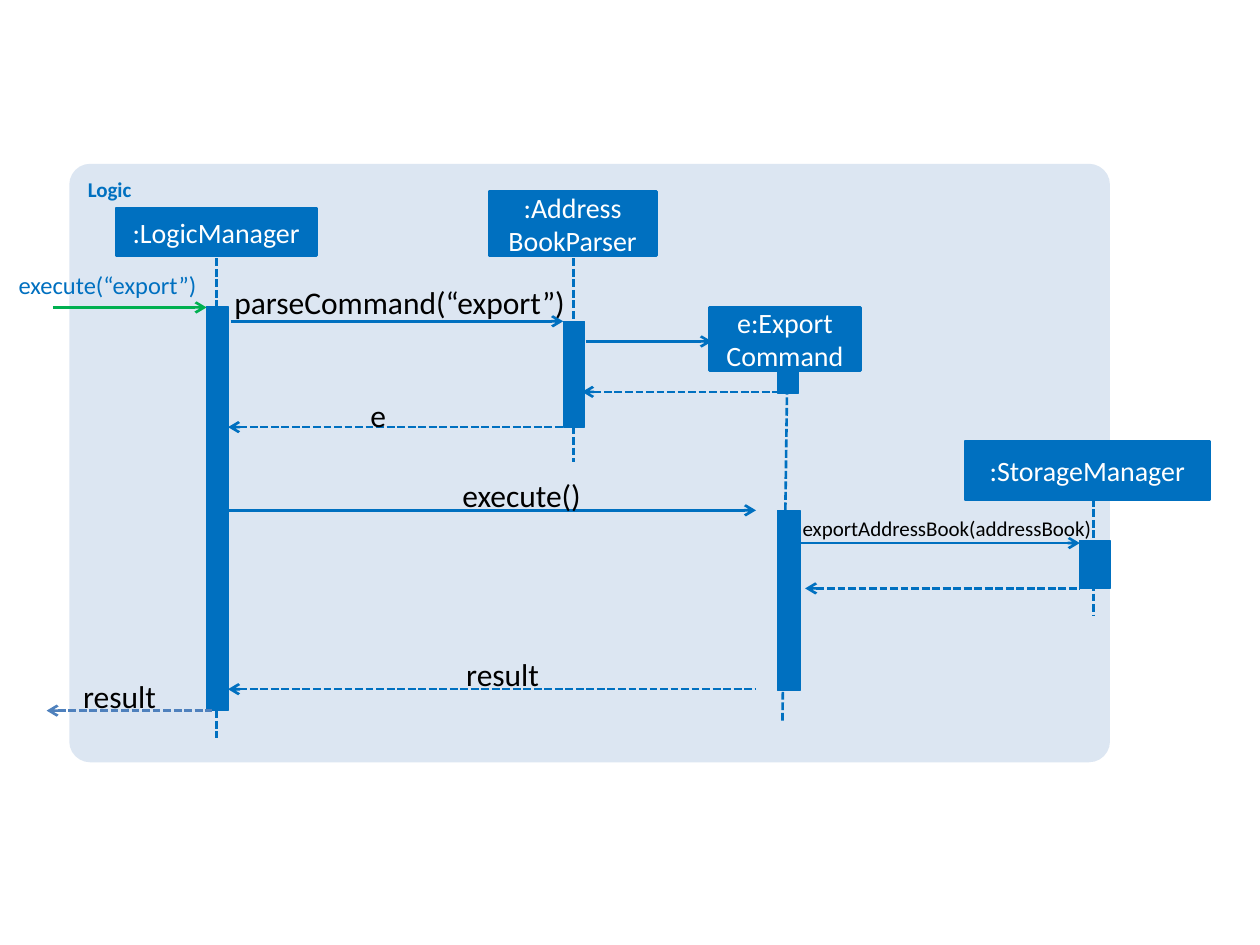
from lxml import etree
from pptx import Presentation
from pptx import util as u
from pptx.dml.color import RGBColor
from pptx.enum import dml, shapes, text
from pptx.oxml.ns import qn

BLUE = RGBColor(0x00, 0x70, 0xC0)
PALE = RGBColor(0xDC, 0xE6, 0xF2)
GREEN = RGBColor(0x00, 0xB0, 0x50)
STEEL = RGBColor(0x4F, 0x81, 0xBD)
WHITE = RGBColor(0xFF, 0xFF, 0xFF)
BLACK = RGBColor(0x00, 0x00, 0x00)

PARTICIPANTS = [
    (":LogicManager", 0.92, 1.65, 1.59, 0.38),
    (":Address\nBookParser", 3.88, 1.52, 1.33, 0.51),
    ("e:Export\vCommand", 5.63, 2.44, 1.2, 0.5),
    (":StorageManager", 7.66, 3.5, 1.94, 0.47),
]
LIFELINES = [
    (1.72, 2.05, 1.72, 5.86),
    (4.55, 2.05, 4.55, 3.67),
    (6.25, 2.82, 6.21, 5.72),
    (8.68, 3.96, 8.68, 4.88),
]
ACTIVATIONS = [
    (1.64, 2.43, 0.17, 3.21),
    (4.47, 2.55, 0.17, 0.84),
    (6.17, 2.82, 0.17, 0.3),
    (6.17, 4.05, 0.18, 1.43),
    (8.57, 4.29, 0.24, 0.38),
]
CALLS = [
    (0.42, 1.64, 2.44, GREEN),
    (1.83, 4.47, 2.55, BLUE),
    (4.65, 5.65, 2.71, BLUE),
    (1.81, 6, 4.05, BLUE),
    (6.35, 8.57, 4.31, BLUE),
]
RETURNS = [
    (4.62, 6.25, 3.11, BLUE),
    (1.81, 4.56, 3.39, BLUE),
    (6.39, 8.57, 4.67, BLUE),
    (1.81, 6, 5.47, BLUE),
    (0.37, 1.68, 5.64, STEEL),
]
LABELS = [
    ("parseCommand(“export”)", 1.86, 2.25, 2.66, 0.3, 18),
    ("e", 2.94, 3.14, 0.24, 0.3, 18),
    ("execute()", 3.67, 3.78, 1.17, 0.3, 18),
    ("exportAddressBook(addressBook)", 6.37, 4.09, 2.41, 0.2, 12),
    ("result", 3.7, 5.2, 0.68, 0.24, 18),
    ("result", 0.66, 5.37, 0.83, 0.24, 18),
]


def write(frame, words, size, color, align=text.PP_ALIGN.LEFT, bold=False):
    frame.word_wrap = True
    frame.text = words
    for para in frame.paragraphs:
        para.alignment = align
        for span in para.runs:
            span.font.name = "Calibri"
            span.font.size = u.Pt(size)
            span.font.bold = bold
            span.font.color.rgb = color


def add_box(page, left, top, width, height, fill=BLUE, line_width=0.75,
            kind=shapes.MSO_SHAPE.RECTANGLE):
    box = page.shapes.add_shape(kind, *map(u.Inches, (left, top, width, height)))
    box.shadow.inherit = False
    box.fill.solid()
    box.fill.fore_color.rgb = fill
    if line_width:
        box.line.color.rgb = fill
        box.line.width = u.Pt(line_width)
    else:
        box.line.fill.background()
    return box


def add_participant(page, name, *place):
    box = add_box(page, *place, line_width=1.5)
    box.text_frame.vertical_anchor = text.MSO_ANCHOR.MIDDLE
    write(box.text_frame, name, 16, WHITE, align=text.PP_ALIGN.CENTER)


def add_line(page, x1, y1, x2, y2, color=BLUE, dashed=False, arrow=None):
    line = page.shapes.add_connector(
        shapes.MSO_CONNECTOR.STRAIGHT, *map(u.Inches, (x1, y1, x2, y2)))
    line.line.color.rgb = color
    line.line.width = u.Pt(1.5)
    if dashed:
        line.line.dash_style = dml.MSO_LINE.SQUARE_DOT
    properties = line._element.spPr
    if arrow:
        etree.SubElement(properties.find(qn("a:ln")), qn(arrow), type="arrow")
    etree.SubElement(properties, qn("a:effectLst"))


def add_label(page, words, left, top, width, height, size, color=BLACK,
              align=text.PP_ALIGN.LEFT):
    box = page.shapes.add_textbox(*map(u.Inches, (left, top, width, height)))
    frame = box.text_frame
    frame.margin_left = frame.margin_right = 0
    frame.margin_top = frame.margin_bottom = 0
    write(frame, words, size, color, align=align)
    frame.auto_size = text.MSO_AUTO_SIZE.SHAPE_TO_FIT_TEXT


def add_component(page, name, *place):
    panel = add_box(page, *place, fill=PALE, line_width=0,
                    kind=shapes.MSO_SHAPE.ROUNDED_RECTANGLE)
    panel.adjustments[0] = 0.035
    panel.text_frame.vertical_anchor = text.MSO_ANCHOR.TOP
    write(panel.text_frame, name, 12, BLUE, bold=True)


def main():
    deck = Presentation()
    deck.slide_width, deck.slide_height = u.Inches(10), u.Inches(7.5)
    page = deck.slides.add_slide(deck.slide_layouts[6])

    add_component(page, "Logic", 0.55, 1.3, 8.26, 4.75)
    for ends in LIFELINES:
        add_line(page, *ends, dashed=True)
    for place in ACTIVATIONS:
        add_box(page, *place)
    for left, right, y, color in CALLS:
        add_line(page, left, y, right, y, color, arrow="a:tailEnd")
    for left, right, y, color in RETURNS:
        add_line(page, left, y, right, y, color, dashed=True, arrow="a:headEnd")
    for participant in PARTICIPANTS:
        add_participant(page, *participant)
    add_label(page, "execute(“export”)", 0, 2.14, 1.56, 0.24, 14,
              color=BLUE, align=text.PP_ALIGN.RIGHT)
    for label in LABELS:
        add_label(page, *label)

    deck.save("out.pptx")


if __name__ == "__main__":
    main()
